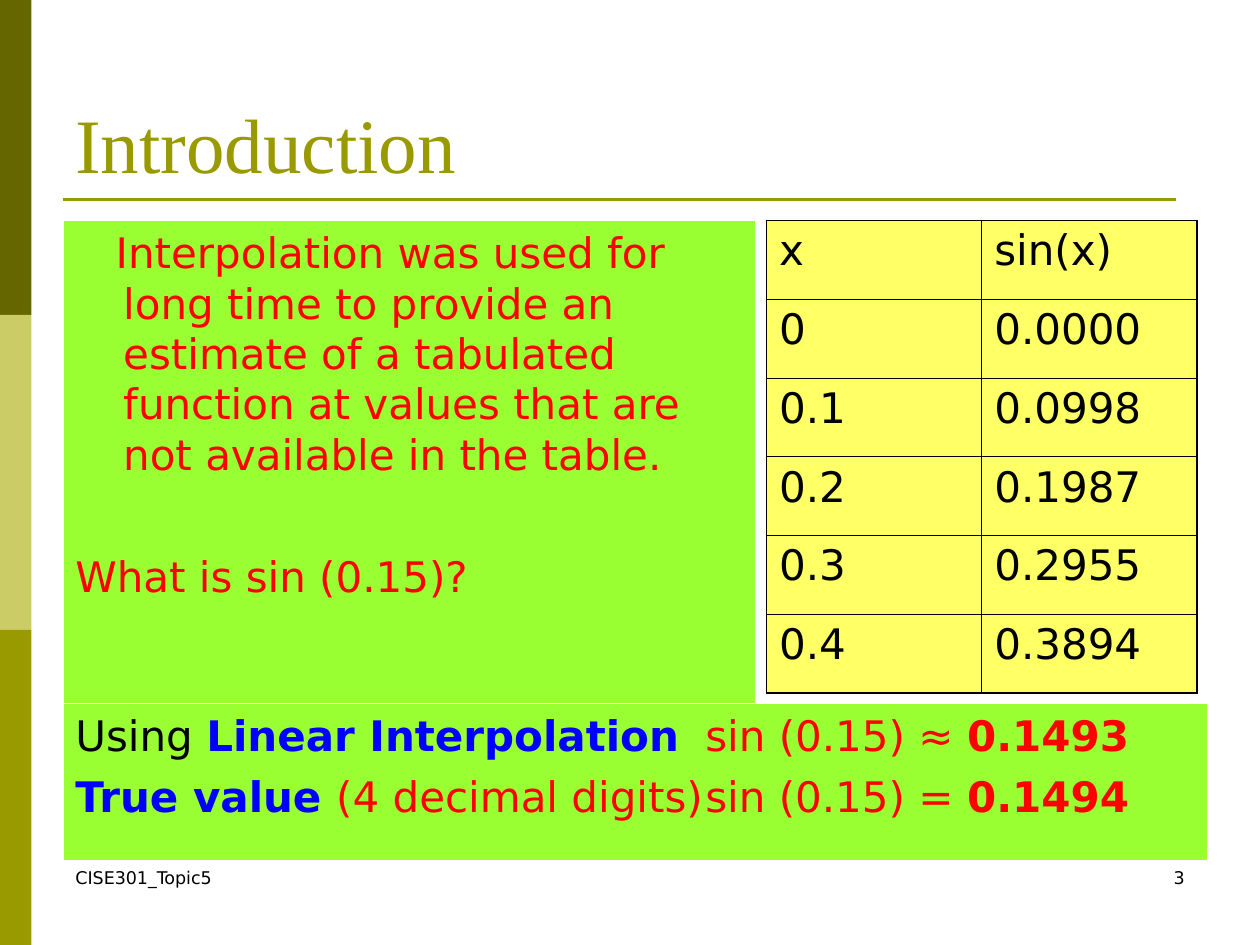
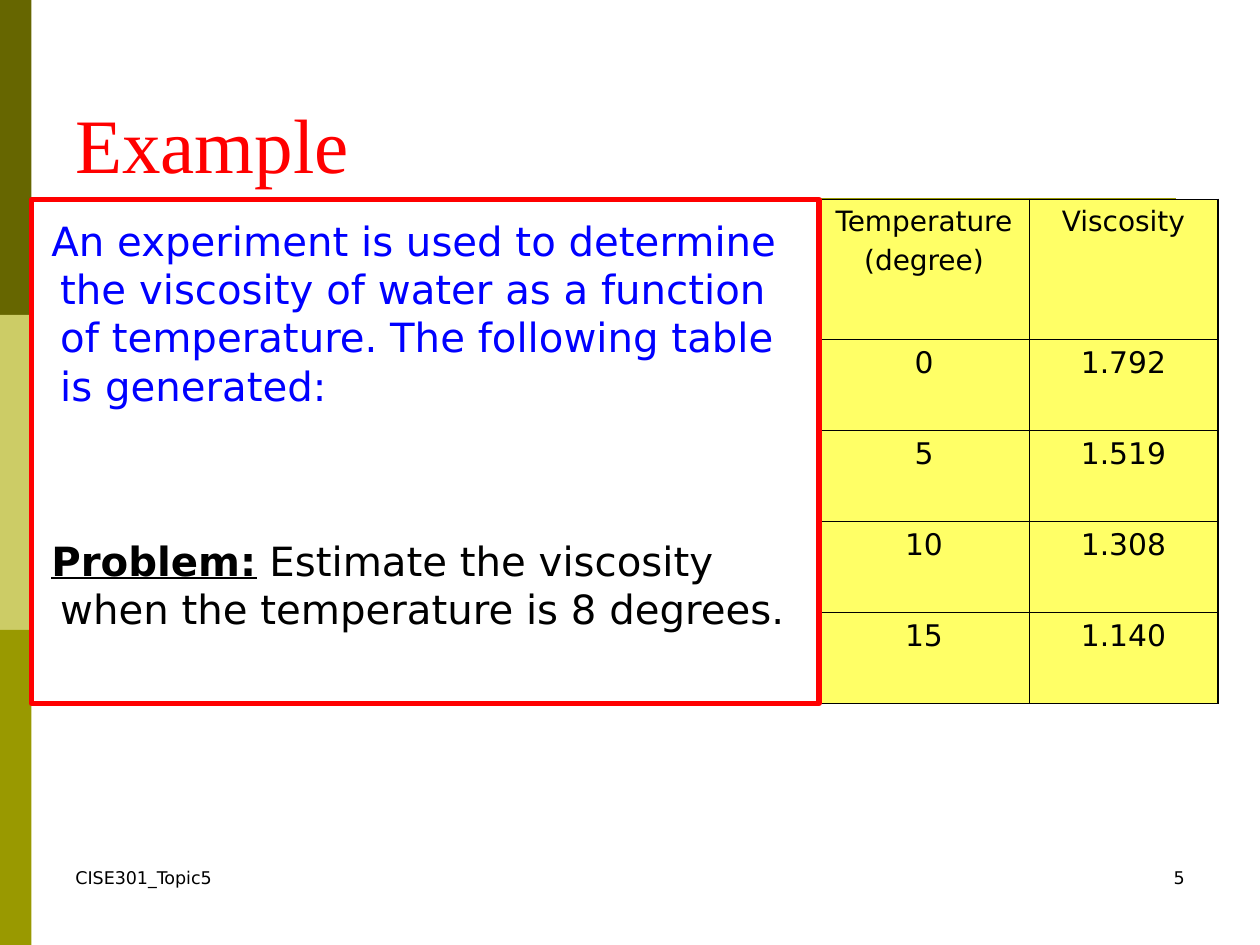
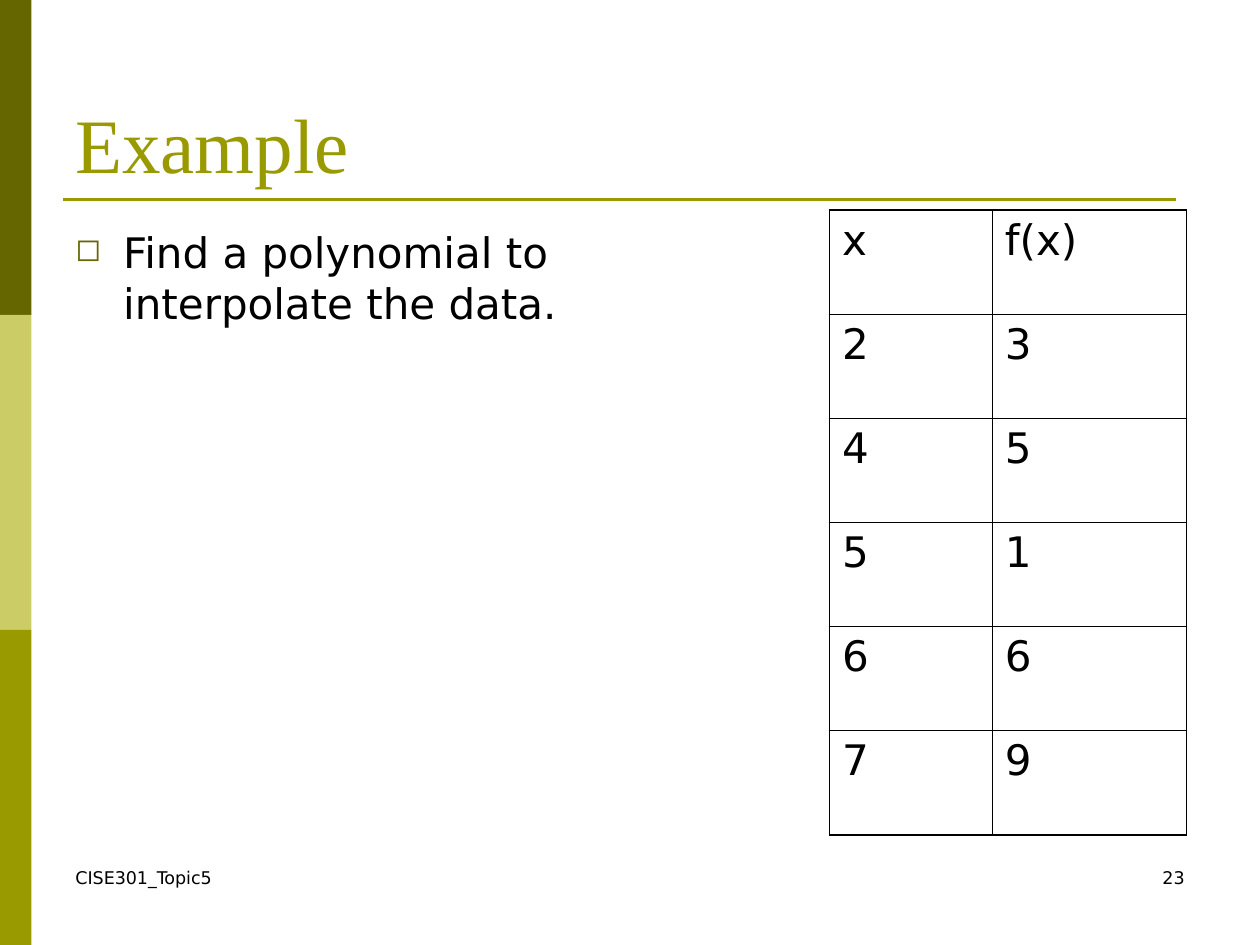
from lxml import etree
from pptx import Presentation
from pptx.dml.color import RGBColor
from pptx.enum import shapes, text
from pptx.oxml import ns
from pptx.util import Inches, Pt

OLIVE = RGBColor(0x99, 0x99, 0x00)
DARK_OLIVE = RGBColor(0x66, 0x66, 0x00)
PALE_OLIVE = RGBColor(0xCC, 0xCC, 0x66)
GREEN = RGBColor(0x99, 0xFF, 0x33)
YELLOW = RGBColor(0xFF, 0xFF, 0x66)
RED = RGBColor(0xFF, 0x00, 0x00)
BLUE = RGBColor(0x00, 0x00, 0xFF)
BLACK = RGBColor(0x00, 0x00, 0x00)
WHITE = RGBColor(0xFF, 0xFF, 0xFF)

BODY_FONT = "DejaVu Sans"
TITLE_FONT = "Times New Roman"
COURSE = "CISE301_Topic5"
UNIT = Inches(1) // 12
COLUMNS, ROWS = 120, 90
HANG = 0.38
OUTER, INNER = 1.08, 0.45


def grid(*cells):
    return [round(UNIT * cell) for cell in cells]


def child(parent, tag, **attributes):
    return etree.SubElement(parent, ns.qn(tag), attributes)


def add_rect(slide, area, fill=None, line=None, width=0.75):
    rect = slide.shapes.add_shape(shapes.MSO_SHAPE.RECTANGLE, *grid(*area))
    rect.shadow.inherit = False
    if fill is None:
        rect.fill.background()
    else:
        rect.fill.solid()
        rect.fill.fore_color.rgb = fill
    if line is None:
        rect.line.fill.background()
    else:
        rect.line.color.rgb = line
        rect.line.width = Pt(width)
    return rect


def add_textbox(slide, area):
    return slide.shapes.add_textbox(*grid(*area))


def prepare(frame, anchor=text.MSO_ANCHOR.TOP):
    frame.word_wrap = True
    frame.vertical_anchor = anchor
    return frame


def write(paragraph, parts, size, color=BLACK, font=BODY_FONT, before=0,
          align=text.PP_ALIGN.LEFT, margin=0, indent=0, bullet=None, tab=None):
    props = paragraph._p.get_or_add_pPr()
    props.set("marL", str(Inches(margin)))
    props.set("indent", str(Inches(indent)))
    if bullet:
        child(child(props, "a:buClr"), "a:srgbClr", val=str(DARK_OLIVE))
        child(props, "a:buSzPct", val="75000")
        child(props, "a:buChar", char=bullet)
    if tab:
        child(child(props, "a:tabLst"), "a:tab", pos=str(Inches(tab)), algn="l")
    paragraph.alignment = align
    if before:
        paragraph.space_before = Pt(before)
    paragraph.font.name = font
    paragraph.font.size = Pt(size)
    paragraph.font.color.rgb = color
    for wording, style in parts:
        run = paragraph.add_run()
        run.text = wording
        if "color" in style:
            run.font.color.rgb = style["color"]
        if style.get("bold"):
            run.font.bold = True
        if style.get("underline"):
            run.font.underline = True


def write_line(frame, wording, size, **options):
    write(frame.paragraphs[0], [(wording, {})], size, **options)


def border_cell(cell, row, column, last_row, last_column):
    props = cell._tc.get_or_add_tcPr()
    edges = {"a:lnL": column == 0, "a:lnR": column == last_column,
             "a:lnT": row == 0, "a:lnB": row == last_row}
    for tag, is_outer in edges.items():
        line = child(props, tag, w=str(Pt(OUTER if is_outer else INNER)))
        child(child(line, "a:solidFill"), "a:srgbClr", val=str(BLACK))


def add_values(slide, left, top, widths, heights, values, sizes,
               fill=None, align=text.PP_ALIGN.LEFT):
    frame = slide.shapes.add_table(
        len(heights), len(widths), *grid(left, top, sum(widths), sum(heights)))
    table = frame.table
    table.first_row = table.horz_banding = False
    for column, width in zip(table.columns, grid(*widths)):
        column.width = width
    for row, height in zip(table.rows, grid(*heights)):
        row.height = height
    for r, (entries, size) in enumerate(zip(values, sizes)):
        for c, entry in enumerate(entries):
            cell = table.cell(r, c)
            border_cell(cell, r, c, len(heights) - 1, len(widths) - 1)
            if fill is None:
                cell.fill.background()
            else:
                cell.fill.solid()
                cell.fill.fore_color.rgb = fill
            for i, wording in enumerate(entry.split("\n")):
                cell_text = cell.text_frame
                paragraph = cell_text.add_paragraph() if i else cell_text.paragraphs[0]
                write(paragraph, [(wording, {})], size, align=align,
                      before=size / 4 if i else 0)


def start_slide(prs, title, number, title_color=OLIVE):
    slide = prs.slides.add_slide(prs.slide_layouts[6])
    band = ROWS / 3
    for i, color in enumerate((DARK_OLIVE, PALE_OLIVE, OLIVE)):
        add_rect(slide, (0, i * band, 3, band), color)
    rule = slide.shapes.add_connector(
        shapes.MSO_CONNECTOR.STRAIGHT, *grid(6, 19, 112, 19))
    rule.line.color.rgb = OLIVE
    rule.line.width = Pt(1.5)
    child(rule._element.spPr, "a:effectLst")
    footers = ((6, COURSE, text.PP_ALIGN.LEFT),
               (86, str(number), text.PP_ALIGN.RIGHT))
    for left, wording, align in footers:
        footer = prepare(add_textbox(slide, (left, 82, 28, 6)).text_frame)
        write_line(footer, wording, 10, align=align)
    heading = prepare(add_textbox(slide, (6, 3.6, 108, 15)).text_frame,
                      text.MSO_ANCHOR.BOTTOM)
    write_line(heading, title, 44, color=title_color, font=TITLE_FONT)
    return slide


def introduction(prs):
    slide = start_slide(prs, "Introduction", 3)
    history = prepare(add_rect(slide, (6, 21, 66, 46), GREEN, WHITE).text_frame)
    write_line(history, "Interpolation was used for long time to provide an "
               "estimate of a tabulated function at values that are not "
               "available in the table.", 24, color=RED, margin=HANG, indent=-0.06)
    write(history.add_paragraph(), [("What is sin (0.15)?", {})], 24, color=RED,
          before=40.8, margin=HANG, indent=-HANG)
    sines = [("x", "sin(x)"), ("0", "0.0000"), ("0.1", "0.0998"),
             ("0.2", "0.1987"), ("0.3", "0.2955"), ("0.4", "0.3894")]
    add_values(slide, 73, 21, [20.5] * 2, [7.5] * 6, sines, [24] * 6, YELLOW)
    answer = prepare(add_rect(slide, (6, 67, 109, 15), GREEN, WHITE).text_frame)
    key = {"color": BLUE, "bold": True}
    result = {"bold": True}
    write(answer.paragraphs[0],
          [("Using ", {"color": BLACK}), ("Linear Interpolation", key),
           ("\tsin (0.15) ≈ ", {}), ("0.1493", result)],
          24, color=RED, tab=5.2)
    write(answer.add_paragraph(),
          [("True value ", key), ("(4 decimal digits)\tsin (0.15) = ", {}),
           ("0.1494", result)],
          24, color=RED, before=6, tab=5.2)


def viscosity_example(prs):
    slide = start_slide(prs, "Example", 5, RED)
    experiment = prepare(add_textbox(slide, (0, 20, 77, 46)).text_frame)
    write_line(experiment, "An experiment is used to determine the viscosity of "
               "water as a function of temperature. The following table is "
               "generated:", 23, color=BLUE, margin=HANG, indent=-0.07)
    write(experiment.add_paragraph(),
          [("Problem:", {"bold": True, "underline": True}),
           (" Estimate the viscosity when the temperature is 8 degrees.", {})],
          23, before=72.6, margin=HANG, indent=-0.07)
    readings = [("Temperature\n(degree)", "Viscosity"), ("0", "1.792"),
                ("5", "1.519"), ("10", "1.308"), ("15", "1.140")]
    add_values(slide, 78, 19, [20, 18], [13.32] + [8.67] * 4, readings,
               [16] + [17] * 4, YELLOW, text.PP_ALIGN.CENTER)
    add_rect(slide, (3, 19, 75, 48), line=RED, width=3)


def polynomial_example(prs):
    slide = start_slide(prs, "Example", 23)
    task = prepare(add_textbox(slide, (6, 21, 53, 59.4)).text_frame)
    write_line(task, "Find a polynomial to interpolate the data.", 24,
               margin=HANG, indent=-HANG, bullet="◻")
    points = [("x", "f(x)"), ("2", "3"), ("4", "5"), ("5", "1"),
              ("6", "6"), ("7", "9")]
    add_values(slide, 79, 20, [15.5, 18.5], [59.5 / 6] * 6, points, [24] * 6)


def main():
    prs = Presentation()
    prs.slide_width, prs.slide_height = grid(COLUMNS, ROWS)
    introduction(prs)
    viscosity_example(prs)
    polynomial_example(prs)
    prs.save("out.pptx")


if __name__ == "__main__":
    main()
